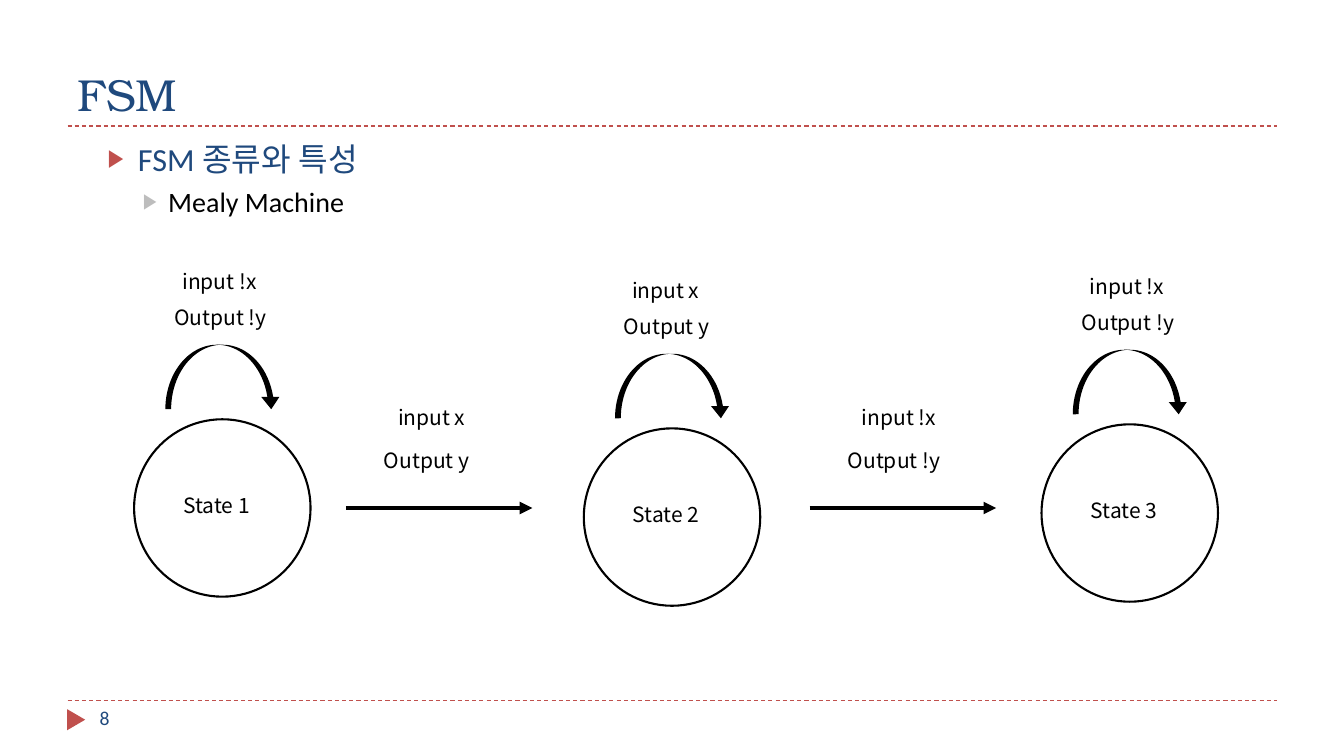
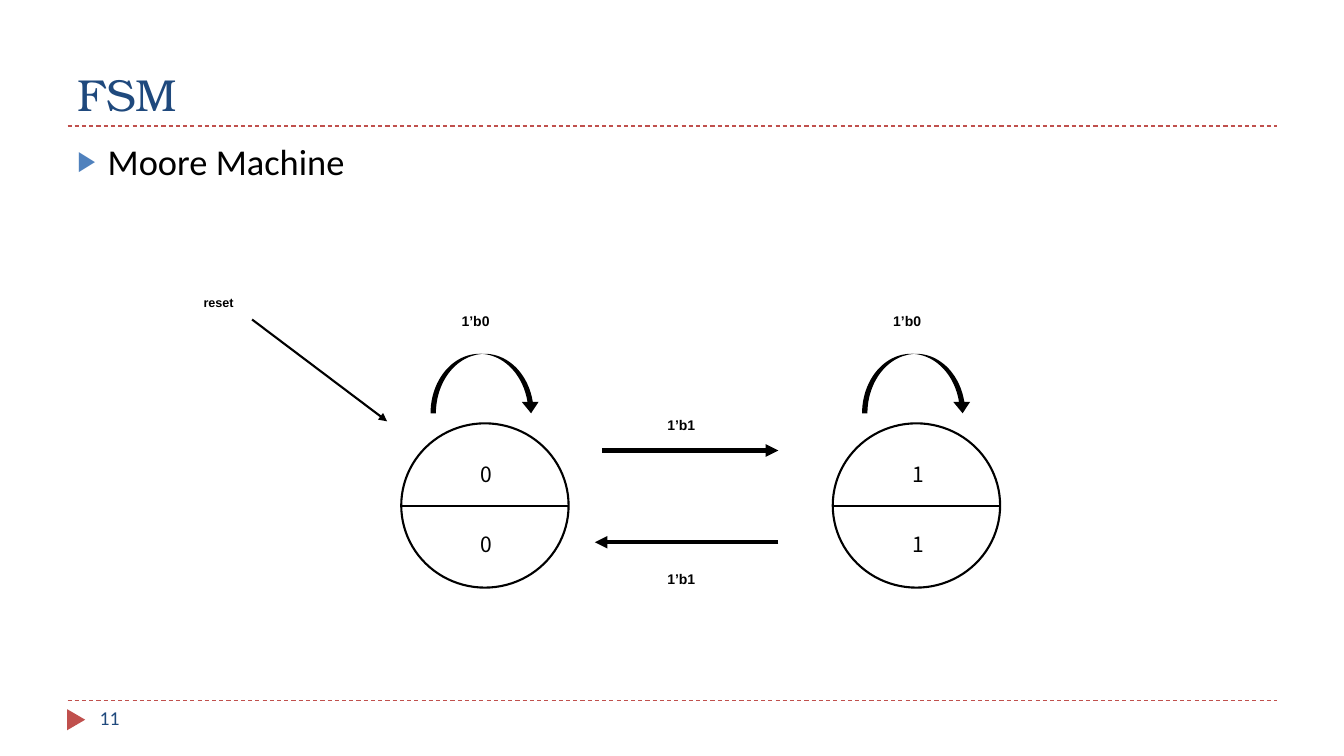
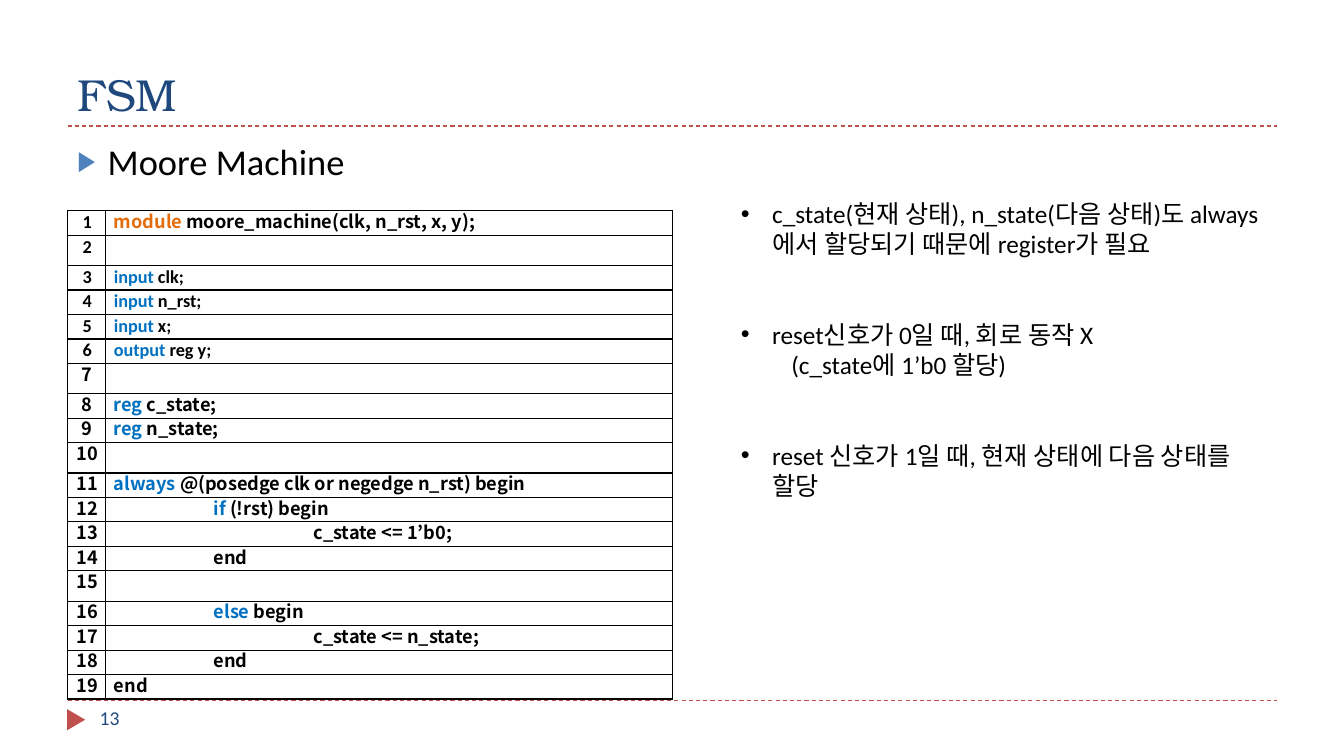
import lxml.etree
import pptx
import pptx.dml.color
import pptx.enum.dml
import pptx.enum.shapes
import pptx.enum.text
import pptx.oxml.ns
import pptx.util

RGBColor = pptx.dml.color.RGBColor
SHAPE = pptx.enum.shapes.MSO_SHAPE
ALIGN = pptx.enum.text.PP_ALIGN
qn = pptx.oxml.ns.qn

# Shared style
PX = 9144  # 100 px to the inch
BLACK = RGBColor(0x00, 0x00, 0x00)
NAVY = RGBColor(0x1F, 0x49, 0x7D)
RED = RGBColor(0xC0, 0x50, 0x4D)
BLUE = RGBColor(0x4F, 0x81, 0xBD)
GRAY = RGBColor(0xBD, 0xBD, 0xBD)
ORANGE = RGBColor(0xE4, 0x6C, 0x0A)
KEYWORD_BLUE = RGBColor(0x00, 0x70, 0xC0)
SERIF = "TeX Gyre Bonum"
SANS = "Calibri"
KOREAN = "Noto Sans CJK KR"
SMALL = "Arial"
BODY_BOX = (67, 133, 1200, 540)

# Content: Mealy machine
MEALY_HEADINGS = [
    ("FSM 종류와 특성", dict(size=23, color=NAVY, left=60, hanging=30,
                       space_before=5, bullet="▶", bullet_color=RED)),
    ("Mealy Machine", dict(size=20, left=90, hanging=25,
                           space_before=5, bullet="▶", bullet_color=GRAY)),
]
MEALY_STATES = [  # circle left, circle top, name, input, output
    (133, 416, "State 1", "input !x", "Output !y"),
    (579, 425, "State 2", "input x", "Output y"),
    (1033, 421, "State 3", "input !x", "Output !y"),
]
MEALY_TRANSITIONS = [  # arrow left, input, output
    (343, "input x", "Output y"),
    (803, "input !x", "Output !y"),
]

# Content: Moore machine
MOORE_HEADINGS = [
    ("Moore Machine", dict(size=26, left=30, hanging=30, space_before=6,
                           bullet="▶", bullet_color=BLUE)),
]
MOORE_STATES = [(398, "0", "0", "1’b0"), (826, "1", "1", "1’b0")]
MOORE_TRANSITIONS = [  # start, end, y, label, label top
    (597, 772, 447, "1’b1", 408),
    (772, 590, 538, "1’b1", 561),
]

# Content: code listing as level, keyword, rest
CODE = [
    (0, "module", " moore_machine(clk, n_rst, x, y);"),
    (0, "", ""),
    (0, "input", " clk;"),
    (0, "input", " n_rst;"),
    (0, "input", " x;"),
    (0, "output", " reg y;"),
    (0, "", ""),
    (0, "reg", " c_state;"),
    (0, "reg", " n_state;"),
    (0, "", ""),
    (0, "always", " @(posedge clk or negedge n_rst) begin"),
    (1, "if", " (!rst) begin"),
    (2, "", "c_state <= 1’b0;"),
    (1, "", "end"),
    (0, "", ""),
    (1, "else", " begin"),
    (2, "", "c_state <= n_state;"),
    (1, "", "end"),
    (0, "", "end"),
]
PORT_LINES = range(3, 7)
NOTE = dict(size=18, left=31, hanging=31, bullet="•")
NOTES = [
    ("c_state(현재 상태), n_state(다음 상태)도 always에서 할당되기 때문에 register가 필요", NOTE),
    ("reset신호가 0일 때, 회로 동작 X", dict(NOTE, space_before=43)),
    ("(c_state에 1’b0 할당)", dict(size=18, left=50)),
    ("reset 신호가 1일 때, 현재 상태에 다음 상태를 할당", dict(NOTE, space_before=43)),
]


def px(*lengths):
    return [pptx.util.Emu(length * PX) for length in lengths]


def write_text(paragraph, text, *, font=SANS, size=15, color=BLACK, bold=False,
               align=ALIGN.LEFT, left=0, hanging=0, space_before=0,
               line_height=None, bullet=None, bullet_color=BLACK):
    """Format the paragraph and append the text to it as one run."""
    paragraph.alignment = align
    paragraph.space_before = pptx.util.Pt(space_before)
    if line_height:
        paragraph.line_spacing = pptx.util.Pt(line_height)
    properties = paragraph._p.get_or_add_pPr()
    properties.set("marL", str(left * PX))
    properties.set("indent", str(-hanging * PX))
    if bullet:
        color_node = lxml.etree.SubElement(properties, qn("a:buClr"))
        lxml.etree.SubElement(color_node, qn("a:srgbClr"), val=str(bullet_color))
        percent = "76000" if bullet == "▶" else "100000"
        lxml.etree.SubElement(properties, qn("a:buSzPct"), val=percent)
        lxml.etree.SubElement(properties, qn("a:buFont"), typeface=SMALL)
        lxml.etree.SubElement(properties, qn("a:buChar"), char=bullet)
    if text:
        run = paragraph.add_run()
        run.text = text
        run.font.name = font
        run.font.size = pptx.util.Pt(size)
        run.font.bold = bold
        run.font.color.rgb = color
        lxml.etree.SubElement(run._r.get_or_add_rPr(), qn("a:ea"), typeface=font)


def add_paragraphs(slide, box, paragraphs):
    frame = slide.shapes.add_textbox(*px(*box)).text_frame
    frame.word_wrap = True
    for index, (text, text_format) in enumerate(paragraphs):
        paragraph = frame.add_paragraph() if index else frame.paragraphs[0]
        write_text(paragraph, text, **text_format)
    return frame


def add_label(slide, box, text, **text_format):
    frame = add_paragraphs(slide, box, [(text, dict(dict(font=KOREAN), **text_format))])
    frame.auto_size = pptx.enum.text.MSO_AUTO_SIZE.SHAPE_TO_FIT_TEXT


def add_line(slide, start, end, *, color=BLACK, width=1.5, dashed=False, arrow=False):
    connector = slide.shapes.add_connector(
        pptx.enum.shapes.MSO_CONNECTOR.STRAIGHT, *px(*start, *end))
    connector.line.color.rgb = color
    connector.line.width = pptx.util.Pt(width)
    if dashed:
        connector.line.dash_style = pptx.enum.dml.MSO_LINE.DASH
    if arrow:
        lxml.etree.SubElement(connector.line._get_or_add_ln(), qn("a:tailEnd"),
                              type="triangle")
    lxml.etree.SubElement(connector._element.spPr, qn("a:effectLst"))


def add_solid(slide, kind, box, color):
    shape = slide.shapes.add_shape(kind, *px(*box))
    shape.shadow.inherit = False
    shape.fill.solid()
    shape.fill.fore_color.rgb = color
    shape.line.fill.background()
    return shape


def add_circle(slide, box):
    circle = slide.shapes.add_shape(SHAPE.OVAL, *px(*box))
    circle.shadow.inherit = False
    circle.fill.background()
    circle.line.color.rgb = BLACK
    circle.line.width = pptx.util.Pt(1.5)


def add_loop(slide, box):
    loop = add_solid(slide, SHAPE.CURVED_DOWN_ARROW, box, BLACK)
    for index, value in enumerate((0.09, 0.28, 0.19)):
        loop.adjustments[index] = value


def add_fsm_slide(presentation, number, headings):
    """Title, rules, page marker and headings that every slide has."""
    slide = presentation.slides.add_slide(presentation.slide_layouts[5])
    for y in (695, 125):
        add_line(slide, (67, y), (1267, y), color=RED, width=0.75, dashed=True)
    marker = add_solid(slide, SHAPE.ISOSCELES_TRIANGLE, (65, 705, 21, 18), RED)
    marker.rotation = 90
    title = slide.shapes.title
    title.left, title.top, title.width, title.height = px(67, 17, 1200, 108)
    title.text_frame.vertical_anchor = pptx.enum.text.MSO_ANCHOR.BOTTOM
    title.text_frame.auto_size = pptx.enum.text.MSO_AUTO_SIZE.NONE
    write_text(title.text_frame.paragraphs[0], "FSM", font=SERIF, size=32, color=NAVY)
    add_paragraphs(slide, BODY_BOX, headings)
    add_paragraphs(slide, (89, 695, 289, 40), [(number, dict(size=14, color=NAVY))])
    return slide


def build_mealy(presentation):
    slide = add_fsm_slide(presentation, "8", MEALY_HEADINGS)
    for left, top, name, input_text, output_text in MEALY_STATES:
        add_circle(slide, (left, top, 175, 176))
        add_loop(slide, (left + 31, top - 74, 114, 64))
        add_label(slide, (left + 39, top + 68, 110, 35), name)
        add_label(slide, (left + 38, top - 155, 108, 35), input_text)
        add_label(slide, (left + 30, top - 119, 129, 35), output_text)
    for left, input_text, output_text in MEALY_TRANSITIONS:
        add_line(slide, (left, 504), (left + 185, 504), width=3, arrow=True)
        add_label(slide, (left + 42, 396, 114, 35), input_text)
        add_label(slide, (left + 28, 439, 129, 35), output_text)


def build_moore(presentation):
    slide = add_fsm_slide(presentation, "11", MOORE_HEADINGS)
    signal = dict(font=SMALL, size=10, bold=True)
    for left, state, output, condition in MOORE_STATES:
        add_circle(slide, (left, 420, 166, 163))
        add_line(slide, (left, 502), (left + 166, 502))
        add_loop(slide, (left + 29, 351, 108, 59))
        add_label(slide, (left + 50, 305, 65, 34), condition, **signal)
        for text, top in ((state, 453), (output, 522)):
            add_label(slide, (left + 32, top, 105, 33), text, align=ALIGN.CENTER)
    for start, end, y, condition, label_top in MOORE_TRANSITIONS:
        add_line(slide, (start, y), (end, y), width=3, arrow=True)
        add_label(slide, (652, label_top, 65, 34), condition, **signal)
    add_line(slide, (250, 317), (384, 418), arrow=True)
    add_label(slide, (192, 288, 65, 32), "reset", **dict(signal, size=9))


def format_cell(cell):
    cell.margin_left = cell.margin_right = cell.margin_top = cell.margin_bottom = 0
    properties = cell._tc.get_or_add_tcPr()
    for side in ("a:lnL", "a:lnR", "a:lnT", "a:lnB"):
        border = lxml.etree.SubElement(properties, qn(side), w="12700")
        fill = lxml.etree.SubElement(border, qn("a:solidFill"))
        lxml.etree.SubElement(fill, qn("a:srgbClr"), val=str(BLACK))
    cell.fill.background()


def build_code(presentation):
    slide = add_fsm_slide(presentation, "13", MOORE_HEADINGS)
    table = slide.shapes.add_table(len(CODE), 2, *px(67, 209, 600, 462)).table
    table.first_row = table.horz_banding = False
    for column, width in zip(table.columns, px(38, 562)):
        column.width = width
    for number, (level, keyword, rest) in enumerate(CODE, 1):
        number_cell, code_cell = table.rows[number - 1].cells
        format_cell(number_cell)
        format_cell(code_cell)
        line = dict(size=13, bold=True, line_height=16.3)
        write_text(number_cell.text_frame.paragraphs[0], str(number), align=ALIGN.CENTER,
                   left=1, font=SANS if number < 7 else KOREAN, **line)
        line.update(left=8 + 99 * level, font=SANS if number in PORT_LINES else KOREAN)
        keyword_color = ORANGE if keyword == "module" else KEYWORD_BLUE
        for text, color in ((keyword, keyword_color), (rest, BLACK)):
            write_text(code_cell.text_frame.paragraphs[0], text, color=color, **line)
    add_paragraphs(slide, (725, 192, 542, 343), NOTES)


def main():
    presentation = pptx.Presentation()
    presentation.slide_width, presentation.slide_height = px(1333, 750)
    build_mealy(presentation)
    build_moore(presentation)
    build_code(presentation)
    presentation.save("out.pptx")


if __name__ == "__main__":
    main()
